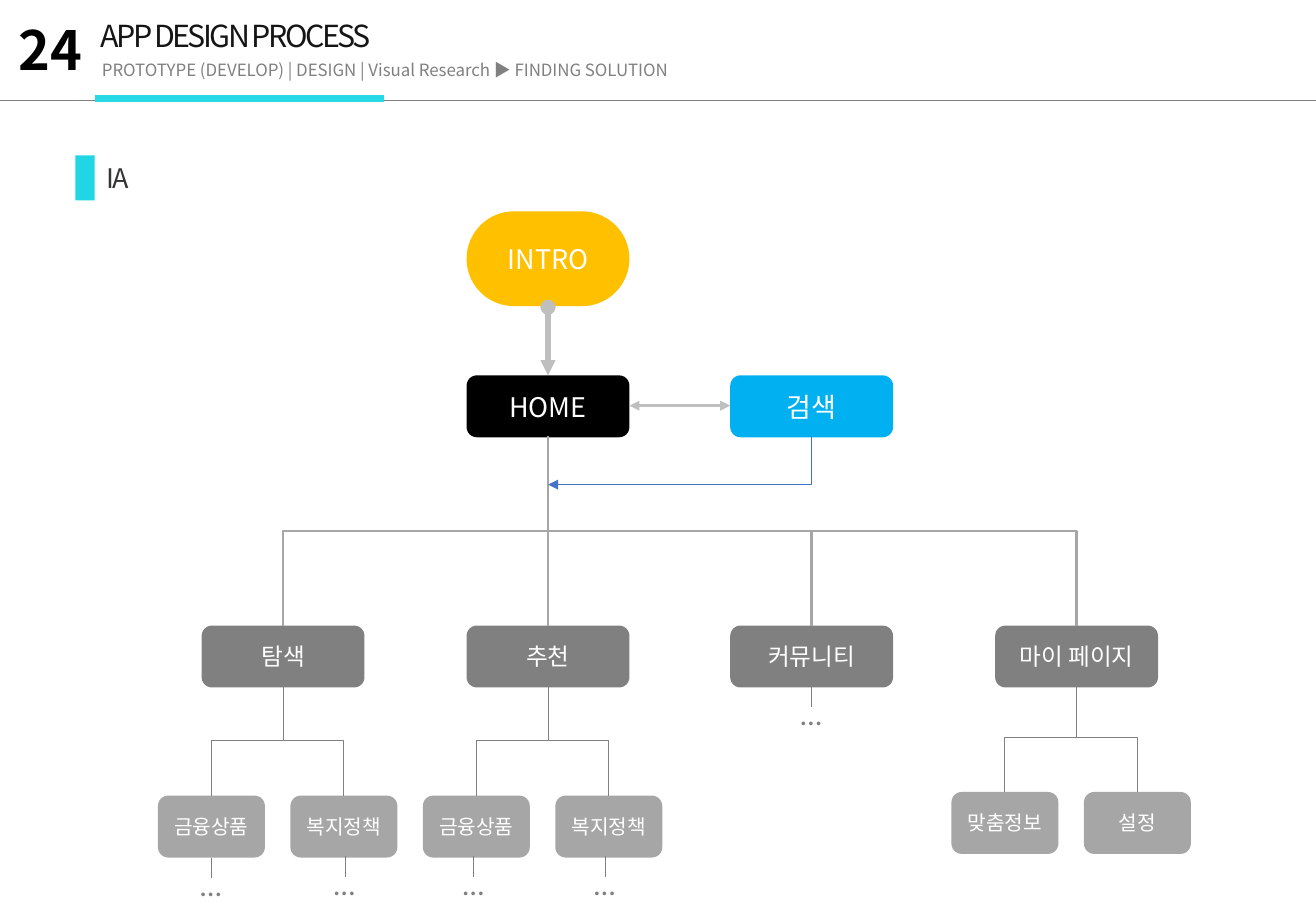
from dataclasses import dataclass
from typing import Optional

import lxml.etree
import pptx
import pptx.dml.color
import pptx.enum.shapes
import pptx.enum.text
import pptx.oxml.ns
import pptx.shapes.connector
import pptx.slide
import pptx.text.text
import pptx.util

EMU_PER_PX = 9144
FONT = "Noto Sans CJK KR"
COLORS = {
    "ink": "151515", "heading": "353535", "black": "000000", "white": "FFFFFF",
    "gray": "808080", "trunk": "A6A6A6", "arrow": "BFBFBF", "amber": "FFC000",
    "sky": "00B0F0", "blue": "4472C4", "cyan": "20D6E4", "underline": "27D8E5",
}
ALIGN = pptx.enum.text.PP_ALIGN
SHAPE = pptx.enum.shapes.MSO_SHAPE
CONNECTOR = pptx.enum.shapes.MSO_CONNECTOR
Connector = pptx.shapes.connector.Connector


@dataclass(frozen=True)
class Label:
    text: str
    left: int
    top: int
    width: int
    height: int
    size: int
    color: str
    font: str = FONT
    bold: bool = False
    wrap: bool = True
    align: ALIGN = ALIGN.LEFT
    spacing: int = 0


@dataclass(frozen=True)
class Node:
    text: str
    left: int
    top: int
    width: int
    height: int
    size: int
    fill: str
    rounding: Optional[float] = None


@dataclass(frozen=True)
class Line:
    x1: int
    y1: int
    x2: int
    y2: int
    color: str
    weight: float
    head: str = ""
    tail: str = ""


@dataclass(frozen=True)
class Branch:
    text: str
    left: int
    trunk_weight: float = 1.5
    children: tuple[str, ...] = ()
    child_top: int = 655


BOX_WIDTH, BOX_HEIGHT, CHILD_WIDTH = 134, 51, 88
HOME_X, HOME_BOTTOM, BRANCH_TOP = 451, 359, 515
CHILD_OFFSETS = (-59, 50)
CHILD_DROP = 90

LABELS = [
    Label("APP DESIGN PROCESS", 73, 9, 248, 40, 18, "ink", wrap=False, spacing=-150),
    Label("24", 0, 9, 83, 64, 32, "black", bold=True, align=ALIGN.CENTER),
    Label("IA", 78, 128, 286, 37, 16, "heading", spacing=-150),
    Label("PROTOTYPE (DEVELOP) | DESIGN | Visual Research ▶ FINDING SOLUTION",
          74, 44, 491, 27, 10, "gray", wrap=False),
]
MAIN_NODES = [
    Node("INTRO", 384, 174, BOX_WIDTH, 78, 16, "amber", 0.5),
    Node("HOME", 384, 309, BOX_WIDTH, BOX_HEIGHT, 16, "black"),
    Node("검색", 601, 309, BOX_WIDTH, BOX_HEIGHT, 16, "sky"),
]
BRANCHES = [
    Branch("탐색", 166, children=("금융상품", "복지정책")),
    Branch("추천", 384, children=("금융상품", "복지정책")),
    Branch("커뮤니티", 601),
    Branch("마이 페이지", 819, children=("맞춤정보", "설정"), child_top=652),
]
LINES = [
    Line(0, 83, 1083, 83, "gray", 0.5),
    Line(78, 81, 316, 81, "underline", 4.5),
    Line(HOME_X, 253, HOME_X, 309, "arrow", 3, "oval", "triangle"),
    Line(518, 334, 601, 334, "arrow", 1.5, "triangle", "triangle"),
]
SEARCH_RETURN = Line(668, HOME_BOTTOM, HOME_X, 399, "blue", 0.5, tail="triangle")
MORE_MARKS = [(174, 706), (284, 705), (390, 705), (498, 705), (668, 565)]


def px(value: float) -> pptx.util.Emu:
    return pptx.util.Emu(int(value * EMU_PER_PX))


def rgb(name: str) -> pptx.dml.color.RGBColor:
    return pptx.dml.color.RGBColor.from_string(COLORS[name])


def style_span(span: pptx.text.text._Run, size: int, color: str, font: str = FONT,
               bold: bool = False, spacing: int = 0) -> None:
    span.font.size = pptx.util.Pt(size)
    span.font.bold = bold
    span.font.name = font
    span.font.color.rgb = rgb(color)
    properties = span.font._element
    east_asian = lxml.etree.SubElement(properties, pptx.oxml.ns.qn("a:ea"))
    east_asian.set("typeface", font)
    if spacing:
        properties.set("spc", str(spacing))


def draw_label(page: pptx.slide.Slide, label: Label) -> None:
    box = page.shapes.add_textbox(px(label.left), px(label.top), px(label.width), px(label.height))
    box.text_frame.word_wrap = label.wrap
    para = box.text_frame.paragraphs[0]
    para.text = label.text
    para.alignment = label.align
    style_span(para.runs[0], label.size, label.color, label.font, label.bold, label.spacing)


def draw_node(page: pptx.slide.Slide, node: Node,
              kind: SHAPE = SHAPE.ROUNDED_RECTANGLE) -> None:
    box = page.shapes.add_shape(kind, px(node.left), px(node.top), px(node.width), px(node.height))
    box.shadow.inherit = False
    box.fill.solid()
    box.fill.fore_color.rgb = rgb(node.fill)
    box.line.fill.background()
    if node.rounding is not None:
        box.adjustments[0] = node.rounding
    if node.text:
        box.text_frame.word_wrap = True
        box.text_frame.vertical_anchor = pptx.enum.text.MSO_ANCHOR.MIDDLE
        para = box.text_frame.paragraphs[0]
        para.text = node.text
        para.alignment = ALIGN.CENTER
        style_span(para.runs[0], node.size, "white")


def style_connector(connector: Connector, line: Line) -> None:
    connector.line.color.rgb = rgb(line.color)
    connector.line.width = pptx.util.Pt(line.weight)
    outline = connector.line._get_or_add_ln()
    for tag, end in (("a:headEnd", line.head), ("a:tailEnd", line.tail)):
        if end:
            lxml.etree.SubElement(outline, pptx.oxml.ns.qn(tag)).set("type", end)
    lxml.etree.SubElement(connector._element.spPr, pptx.oxml.ns.qn("a:effectLst"))


def draw_line(page: pptx.slide.Slide, line: Line) -> None:
    connector = page.shapes.add_connector(
        CONNECTOR.STRAIGHT, px(line.x1), px(line.y1), px(line.x2), px(line.y2))
    style_connector(connector, line)


def draw_elbow(page: pptx.slide.Slide, line: Line, preset: str = "bentConnector3") -> None:
    center_x, center_y = (line.x1 + line.x2) / 2, (line.y1 + line.y2) / 2
    half_drop, half_span = (line.y2 - line.y1) / 2, abs(line.x2 - line.x1) / 2
    goes_right = line.x2 > line.x1
    reach = -half_drop if goes_right else half_drop
    connector = page.shapes.add_connector(
        CONNECTOR.ELBOW, px(center_x - reach), px(center_y - half_span),
        px(center_x + reach), px(center_y + half_span))
    properties = connector._element.spPr
    degrees = 270 if goes_right else 90
    properties.find(pptx.oxml.ns.qn("a:xfrm")).set("rot", str(degrees * 60000))
    properties.find(pptx.oxml.ns.qn("a:prstGeom")).set("prst", preset)
    style_connector(connector, line)


def draw_branch(page: pptx.slide.Slide, branch: Branch) -> None:
    center = branch.left + BOX_WIDTH // 2
    trunk = Line(HOME_X, HOME_BOTTOM, center, BRANCH_TOP, "trunk", branch.trunk_weight)
    draw_node(page, Node(branch.text, branch.left, BRANCH_TOP, BOX_WIDTH, BOX_HEIGHT, 14, "gray"))
    if center == HOME_X:
        draw_line(page, trunk)
    else:
        draw_elbow(page, trunk)
    top = branch.child_top
    for text, offset in zip(branch.children, CHILD_OFFSETS):
        child_x = center + offset
        draw_node(page, Node(text, child_x - CHILD_WIDTH // 2, top, CHILD_WIDTH, BOX_HEIGHT,
                             12, "trunk"))
        draw_elbow(page, Line(center, top - CHILD_DROP, child_x, top, "gray", 0.5))


def main() -> None:
    deck = pptx.Presentation()
    deck.slide_width, deck.slide_height = px(1083), px(750)
    page = deck.slides.add_slide(deck.slide_layouts[6])
    for label in LABELS:
        draw_label(page, label)
    draw_node(page, Node("", 62, 128, 16, 37, 0, "cyan"), SHAPE.RECTANGLE)
    for node in MAIN_NODES:
        draw_node(page, node)
    for line in LINES:
        draw_line(page, line)
    for branch in BRANCHES:
        draw_branch(page, branch)
    draw_elbow(page, SEARCH_RETURN, "bentConnector2")
    for x, top in MORE_MARKS:
        draw_line(page, Line(x, top, x, top + 17, "gray", 0.5))
        draw_label(page, Label("…", x - 19, top + 2, 65, 40, 18, "gray", font="Calibri"))
    deck.save("out.pptx")


if __name__ == "__main__":
    main()
